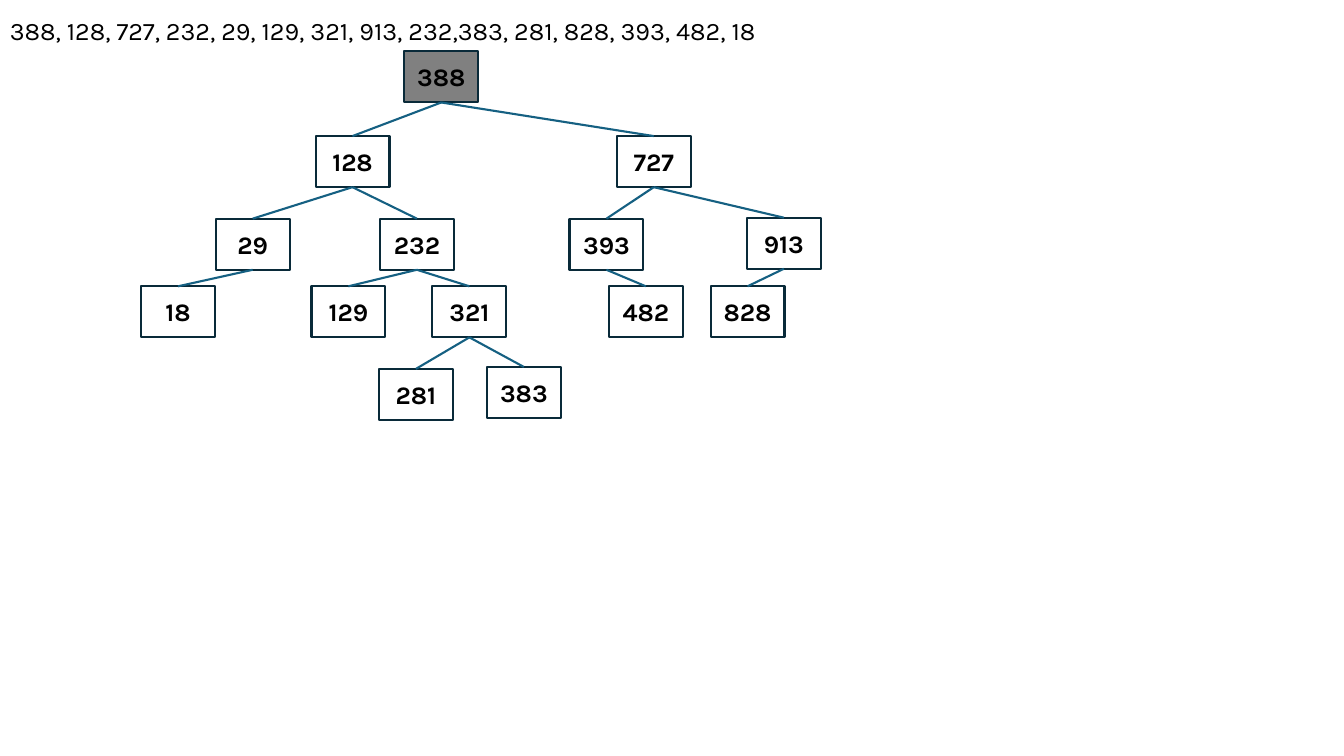
import pptx
import pptx.util
import pptx.dml.color
import pptx.enum.shapes
import pptx.enum.text
import pptx.oxml.ns
import lxml.etree

Pt = pptx.util.Pt
COLORS = {"text": "000000", "root": "808080", "border": "092A39", "edge": "156082"}
FONT = "Karla"
NODE_W, NODE_H = 52.8, 36.5
SEQUENCE = "388, 128, 727, 232, 29, 129, 321, 913, 232,383, 281, 828, 393, 482, 18"
NODES = [
    ("388", None, 188, 0),
    ("128", "388", 124.6, 60.5),
    ("727", "388", 339.8, 60.5),
    ("232", "128", 170.6, 119.5),
    ("29", "128", 53.3, 119.5),
    ("129", "232", 121.7, 167.8),
    ("321", "232", 208.1, 167.8),
    ("913", "727", 432.7, 118.8),
    ("383", "321", 247, 225.4),
    ("281", "321", 169.9, 226.8),
    ("828", "913", 406.8, 167.8),
    ("393", "727", 306, 119.5),
    ("482", "393", 334.1, 167.8),
    ("18", "29", 0, 167.8),
]


def rgb(name):
    """Return the named colour."""
    return pptx.dml.color.RGBColor.from_string(COLORS[name])


def set_text(sp, text, bold=False):
    """Write one styled paragraph into a shape and return it."""
    tf = sp.text_frame
    tf.word_wrap = True
    p = tf.paragraphs[0]
    p.text = text
    p.font.name = FONT
    p.font.size = Pt(18)
    p.font.bold = bold
    p.font.color.rgb = rgb("text")
    return p


def add_sequence(s, x, y, w, h):
    """Place the inserted numbers in the given box."""
    set_text(s.shapes.add_textbox(Pt(x), Pt(y), Pt(w), Pt(h)), SEQUENCE)


def add_node(s, label, x, y):
    """Place one tree node and return its shape."""
    sp = s.shapes.add_shape(pptx.enum.shapes.MSO_SHAPE.RECTANGLE,
                            Pt(x), Pt(y), Pt(NODE_W), Pt(NODE_H))
    sp.shadow.inherit = False
    sp.fill.background()
    sp.line.color.rgb = rgb("border")
    sp.line.width = Pt(1.5)
    sp.text_frame.vertical_anchor = pptx.enum.text.MSO_ANCHOR.MIDDLE
    p = set_text(sp, label, bold=True)
    p.alignment = pptx.enum.text.PP_ALIGN.CENTER
    return sp


def add_edge(s, parent, child):
    """Join the bottom of a parent to the top of its child."""
    line = s.shapes.add_connector(pptx.enum.shapes.MSO_CONNECTOR.STRAIGHT, 0, 0, 0, 0)
    line.begin_connect(parent, 2)
    line.end_connect(child, 0)
    line.line.color.rgb = rgb("edge")
    line.line.width = Pt(1.5)
    lxml.etree.SubElement(line._element.spPr, pptx.oxml.ns.qn("a:effectLst"))


def add_tree(s, x, y):
    """Place the binary search tree with its top left corner at x, y."""
    placed = {}
    for label, parent, dx, dy in NODES:
        placed[label] = add_node(s, label, x + dx, y + dy)
        if parent:
            add_edge(s, placed[parent], placed[label])
        else:
            placed[label].fill.solid()
            placed[label].fill.fore_color.rgb = rgb("root")


def main():
    """Build and save the slide."""
    prs = pptx.Presentation()
    prs.slide_width, prs.slide_height = Pt(960), Pt(540)
    s = prs.slides.add_slide(prs.slide_layouts[6])
    add_sequence(s, 0, 7.2, 595.4, 29)
    add_tree(s, 100.8, 36.7)
    prs.save("out.pptx")


if __name__ == "__main__":
    main()
